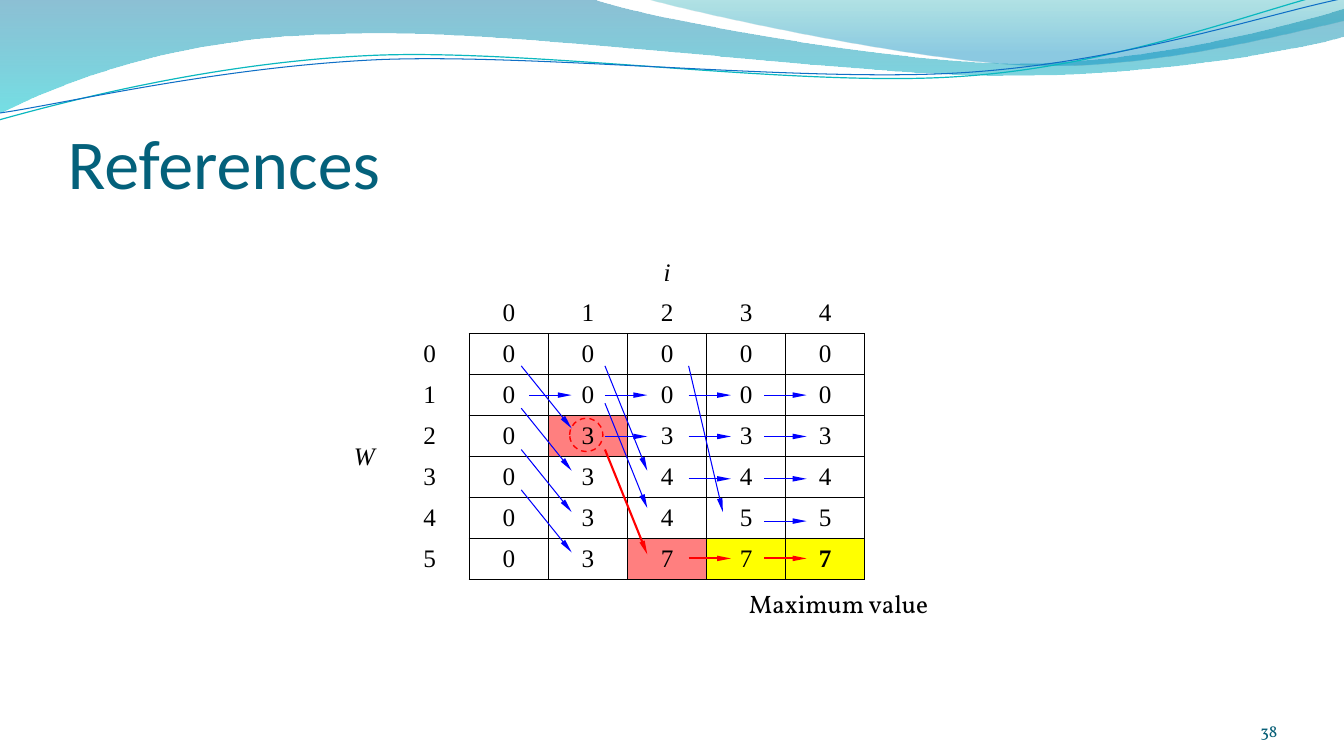
"""Build the References slide: a dynamic-programming table with its trace arrows."""
from math import cos, radians, sin
from lxml.etree import SubElement
from pptx import Presentation
from pptx.dml.color import RGBColor
from pptx.enum.dml import MSO_LINE
from pptx.enum.shapes import MSO_CONNECTOR, MSO_SHAPE
from pptx.enum.text import MSO_ANCHOR, MSO_AUTO_SIZE, PP_ALIGN
from pptx.oxml.ns import qn
from pptx.util import Inches, Pt

COLORS = {"title": "04617B", "number": "045D75", "black": "000000", "red": "FF0000",
          "blue": "0000FF", "yellow": "FFFF00", "teal": "0AB8BF", "navy": "0F6FC6",
          "wave_top": "0074A1", "wave_end": "00C6CF", "crest_top": "00A1A9", "crest_end": "008BBF"}

WAVES = [
    ([(0, 0), (5.87, -0.01), (6.34, 0.17, 8.85, 0.63, 10.11, 0.63),
      (11.38, 0.63, 12.78, 0.26, 13.33, 0.09), (13.35, 0.36),
      (13.11, 0.44, 11.6, 0.76, 9.94, 0.75), (8.29, 0.75, 5.09, 0.28, 3.43, 0.34),
      (1.72, 0.36, 0.61, 0.83, -0.01, 1.13), (0, 0)],
     [(0, "wave_top", 45), (1, "wave_end", 55)]),
    ([(6.39, -0.01), (6.79, 0.11, 9.09, 0.62, 10.25, 0.65),
      (11.41, 0.69, 12.82, 0.32, 13.33, 0.21), (13.33, 0), (6.39, -0.01)],
     [(0, "crest_top", 30), (0.8, "crest_end", 45)]),
]
RIPPLES = [
    ([(-0.01, 1.19), (0.64, 1.01, 2.11, 0.62, 3.69, 0.55),
      (5.27, 0.48, 7.9, 0.87, 9.5, 0.76), (11.1, 0.66, 12.52, 0.08, 13.31, -0.1)], "teal", 0.85),
    ([(0, 1.12), (0.63, 1.03, 2.18, 0.66, 3.78, 0.59),
      (5.37, 0.53, 7.96, 0.82, 9.55, 0.72), (11.15, 0.62, 12.55, 0.14, 13.34, -0.02)], "navy", 0.75),
]
RIPPLE_TILT, RIPPLE_CENTER = 2.7, (6.65, 0.57)

VALUES = [(0, 0, 0, 0, 0), (0, 0, 0, 0, 0), (0, 3, 3, 3, 3),
          (0, 3, 4, 4, 4), (0, 3, 4, 5, 5), (0, 3, 7, 7, 7)]
HIGHLIGHTS = {(2, 1): ("red", 50), (5, 2): ("red", 50), (5, 3): ("yellow", 100), (5, 4): ("yellow", 100)}
LABEL_ROWS, LABEL_COLS = 2, 2
TABLE_LEFT, TABLE_TOP, TABLE_W, TABLE_H, W_COL = 3.36, 2.5, 5.22, 3.25, 0.51

ROW_Y = {1: 3.92, 2: 4.33, 3: 4.75, 4: 5.17, 5: 5.54}
ACROSS = [(5.25, [1]), (6, [1, 2]), (6.83, [1, 2, 3, 5]), (7.58, [1, 2, 3, 4, 5])]
ACROSS_LEN = 0.42
DOWN = [(5.17, 0.5, 0.62, [3.63, 4.05, 4.46, 4.86]), (6, 0.42, 1.04, [3.63, 4]), (6.83, 0.34, 1.45, [3.63])]
TAKEN_ITEM = (6, 4.46, 6.42, 5.5)


def rgb(name):
    return RGBColor.from_string(COLORS[name])


def set_alpha(parent, percent):
    if percent < 100:
        for clr in parent.iter(qn("a:srgbClr")):
            SubElement(clr, qn("a:alpha"), val=str(percent * 1000))


def set_font(p, name, size, color):
    p.font.name, p.font.size = name, Pt(size)
    p.font.color.rgb = rgb(color)


def tilt(part):
    (cx, cy), a = RIPPLE_CENTER, radians(RIPPLE_TILT)
    turned = []
    for x, y in zip(part[::2], part[1::2]):
        dx, dy = x - cx, y - cy
        turned += [cx + dx * cos(a) - dy * sin(a), cy + dx * sin(a) + dy * cos(a)]
    return turned


def add_curve(s, outline, closed):
    parts = [[Inches(v) for v in part] for part in outline]
    builder = s.shapes.build_freeform(*parts[0])
    builder.add_line_segments([part[-2:] for part in parts[1:]], close=closed)
    sp = builder.convert_to_shape()
    sp.shadow.inherit = False
    for seg, part in zip(list(sp._element.iter(qn("a:lnTo"))), parts[1:]):
        if len(part) == 6:
            curve = seg.makeelement(qn("a:cubicBezTo"))
            for x, y in zip(part[::2], part[1::2]):
                SubElement(curve, qn("a:pt"), x=str(x - sp.left), y=str(y - sp.top))
            seg.getparent().replace(seg, curve)
    return sp


def add_waves(s):
    for outline, stops in WAVES:
        sp = add_curve(s, outline, True)
        sp.line.fill.background()
        sp.fill.gradient()
        sp.fill.gradient_angle = 270
        for stop, (position, color, alpha) in zip(sp.fill.gradient_stops, stops):
            stop.position = position
            stop.color.rgb = rgb(color)
        for gs, (position, color, alpha) in zip(sp._element.iter(qn("a:gs")), stops):
            set_alpha(gs, alpha)
    for outline, color, width in RIPPLES:
        sp = add_curve(s, [tilt(part) for part in outline], False)
        sp.rotation = -RIPPLE_TILT
        sp.fill.background()
        sp.line.color.rgb, sp.line.width = rgb(color), Pt(width)


def add_text(s, box, text, font, size, color):
    tf = s.shapes.add_textbox(*map(Inches, box)).text_frame
    tf.word_wrap = True
    tf.text = text
    set_font(tf.paragraphs[0], font, size, color)
    return tf


def set_cell(cell, text):
    cell.text = str(text)
    cell.vertical_anchor = MSO_ANCHOR.MIDDLE
    p = cell.text_frame.paragraphs[0]
    p.alignment = PP_ALIGN.CENTER
    set_font(p, "Times New Roman", 18, "black")
    cell.fill.background()
    return p


def add_borders(cell):
    for side in ("a:lnL", "a:lnR", "a:lnT", "a:lnB"):
        ln = SubElement(cell._tc.get_or_add_tcPr(), qn(side), w=str(Pt(1)))
        SubElement(SubElement(ln, qn("a:solidFill")), qn("a:srgbClr"), val=COLORS["black"])


def add_value_table(s):
    rows, cols = LABEL_ROWS + len(VALUES), LABEL_COLS + len(VALUES[0])
    widths = [W_COL] + [(TABLE_W - W_COL) / (cols - 1)] * (cols - 1)
    frame = s.shapes.add_table(rows, cols, *map(Inches, (TABLE_LEFT, TABLE_TOP, TABLE_W, TABLE_H)))
    table = frame.table
    table.first_row = table.horz_banding = False
    next(frame._element.iter(qn("a:tableStyleId"))).text = "{2D5ABB26-0587-4C30-8999-92F81FD0307C}"
    for col, width in zip(table.columns, widths):
        col.width = Inches(width)
    for r in range(rows):
        for c in range(cols):
            cell, i, w = table.cell(r, c), c - LABEL_COLS, r - LABEL_ROWS
            if i >= 0 and w >= 0:
                add_borders(cell)
                p = set_cell(cell, VALUES[w][i])
                if (w, i) in HIGHLIGHTS:
                    color, alpha = HIGHLIGHTS[w, i]
                    cell.fill.solid()
                    cell.fill.fore_color.rgb = rgb(color)
                    set_alpha(cell._tc.tcPr.find(qn("a:solidFill")), alpha)
            else:
                set_cell(cell, i if r == 1 and i >= 0 else w if c == 1 and w >= 0 else "")
    p.font.bold = True
    for first, last, text in (((0, 2), (0, cols - 1), "i"), ((2, 0), (rows - 1, 0), "W")):
        table.cell(*first).merge(table.cell(*last))
        set_cell(table.cell(*first), text).font.italic = True


def add_arrow(s, x1, y1, x2, y2, on_path):
    line = s.shapes.add_connector(MSO_CONNECTOR.STRAIGHT, *map(Inches, (x1, y1, x2, y2)))
    line.line.color.rgb = rgb("red" if on_path else "blue")
    line.line.width = Pt(1.5 if on_path else 0.75)
    SubElement(line.line._get_or_add_ln(), qn("a:tailEnd"), type="triangle", w="sm", len="lg")
    SubElement(line._element.spPr, qn("a:effectLst"))


def add_arrows(s):
    for x, rows in ACROSS:
        for row in rows:
            add_arrow(s, x, ROW_Y[row], x + ACROSS_LEN, ROW_Y[row], row == 5)
    for x, dx, dy, tops in DOWN:
        for y in tops:
            add_arrow(s, x, y, x + dx, y + dy, False)
    add_arrow(s, *TAKEN_ITEM, True)


prs = Presentation()
prs.slide_width, prs.slide_height = Inches(13.33), Inches(7.5)
s = prs.slides.add_slide(prs.slide_layouts[5])
add_waves(s)
title = s.shapes.title
title._element.getparent().append(title._element)
title.left, title.top, title.width, title.height = map(Inches, (0.67, 0.77, 12.11, 1.25))
tf = title.text_frame
tf.text = "References"
tf.auto_size, tf.vertical_anchor = MSO_AUTO_SIZE.NONE, MSO_ANCHOR.BOTTOM
tf.margin_left = tf.margin_right = tf.margin_bottom = 0
tf.paragraphs[0].alignment = PP_ALIGN.LEFT
set_font(tf.paragraphs[0], "Calibri", 50, "title")
add_value_table(s)
add_arrows(s)
add_text(s, (7.33, 5.79, 2.08, 0.42), "Maximum value", "Vollkorn", 18, "black")
ring = s.shapes.add_shape(MSO_SHAPE.OVAL, *map(Inches, (5.65, 4.15, 0.33, 0.33)))
ring.shadow.inherit = False
ring.fill.background()
ring.line.color.rgb, ring.line.width = rgb("red"), Pt(1)
ring.line.dash_style = MSO_LINE.DASH
tf = add_text(s, (11.56, 6.95, 1.11, 0.4), "38", "Vollkorn", 12, "number")
tf.margin_left = tf.margin_right = tf.margin_top = tf.margin_bottom = 0
tf.vertical_anchor = MSO_ANCHOR.BOTTOM
tf.paragraphs[0].alignment = PP_ALIGN.RIGHT
prs.save("out.pptx")
